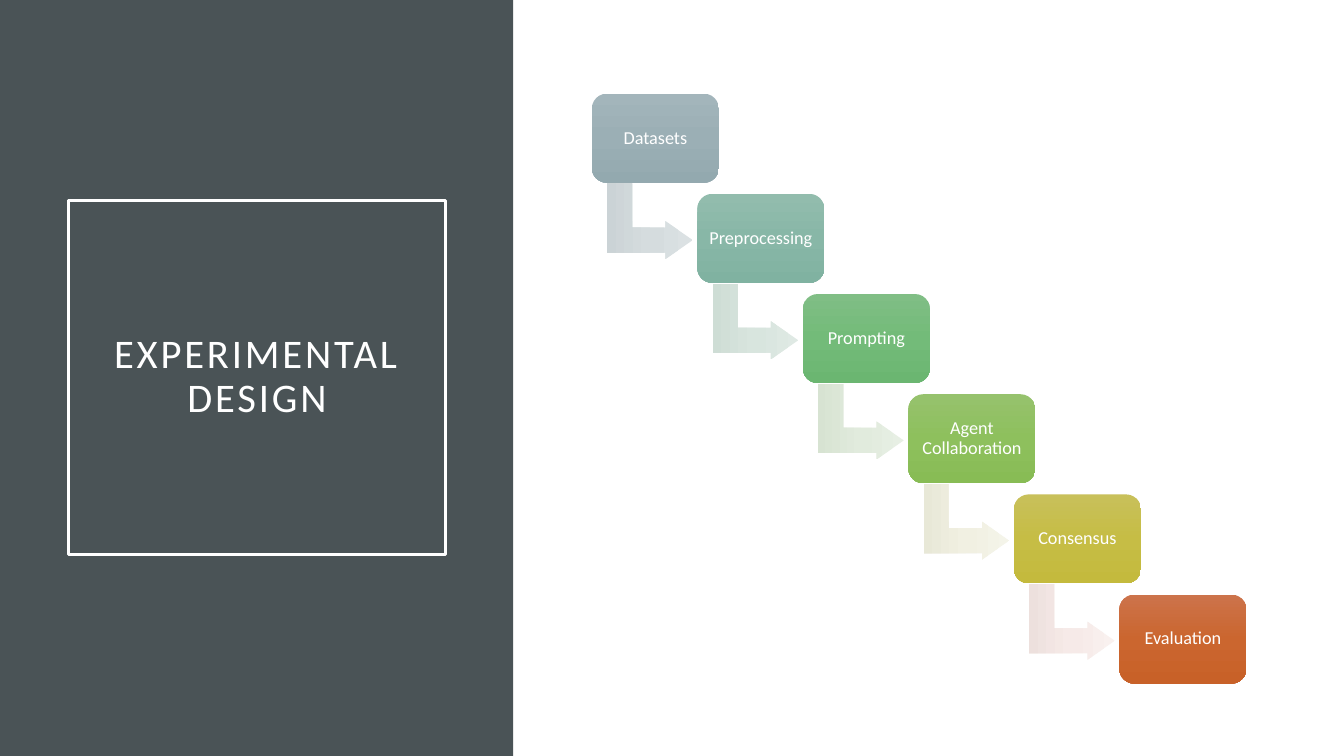
from copy import deepcopy

from pptx import Presentation
from pptx.dml.color import RGBColor
from pptx.enum.shapes import MSO_SHAPE
from pptx.enum.text import MSO_ANCHOR, MSO_AUTO_SIZE, PP_ALIGN
from pptx.oxml.ns import qn
from pptx.util import Inches, Pt

RECT = MSO_SHAPE.RECTANGLE
ROUND = MSO_SHAPE.ROUNDED_RECTANGLE
BENT = MSO_SHAPE.BENT_UP_ARROW
MIDDLE = MSO_ANCHOR.MIDDLE
CENTER = PP_ALIGN.CENTER
FIXED = MSO_AUTO_SIZE.NONE
TITLE_ONLY = 5

# Step name, box gradient, gradient of the arrow that leaves it
STEPS = [
    ("Datasets", "A3B5BB 9BAFB5 93A9AF", "DBE1E3 D5DCDE CBD3D6"),
    ("Preprocessing", "92BCAD 88B7A7 80B2A1", "DFE9E4 D8E5DE CEDDD5"),
    ("Prompting", "80BE85 73BB79 6BB671", "E7EFE4 E1EBDD D7E3D2"),
    ("Agent Collaboration", "96C26D 8EC05D 88BC55", "F4F4E9 F1F0E2 E8E8D7"),
    ("Consensus", "C8C05A C6BD45 C4BA3D", "F9F1EF F6EAE8 EDE0DD"),
    ("Evaluation", "CC734B CB662F C86128", None),
]

# Staircase, in percent of the slide's width and height
LEFT, TOP = 44.04, 12.4
COL, ROW = 7.85, 13.25


def color(code):
    return RGBColor.from_string(code)


class Deck:
    font = "Calibri"
    ink = "FFFFFF"
    dark = "4A5356"

    def __init__(self):
        self.prs = Presentation()
        self.prs.slide_width = Inches(13.33)
        self.prs.slide_height = Inches(7.5)
        layout = self.prs.slide_layouts[TITLE_ONLY]
        self.slide = self.prs.slides.add_slide(layout)

    def area(self, x, y, w, h):
        """Turn percentages of the slide into lengths."""
        wide, high = self.prs.slide_width, self.prs.slide_height
        return [round(part * full / 100) for part, full in
                zip((x, y, w, h), (wide, high, wide, high))]

    def shape(self, kind, *area):
        item = self.slide.shapes.add_shape(kind, *self.area(*area))
        item.shadow.inherit = False
        item.line.fill.background()
        return item

    def shade(self, item, codes):
        """Fill from top to bottom with three evenly spaced colours."""
        fill = item.fill
        fill.gradient()
        fill.gradient_angle = 270
        first = item.element.spPr.find(".//" + qn("a:gs"))
        first.addnext(deepcopy(first))
        for i, (stop, code) in enumerate(zip(fill.gradient_stops, codes.split())):
            stop.position = i / 2
            stop.color.rgb = color(code)

    def label(self, item, text, size, pad_x, pad_y):
        frame = item.text_frame
        frame.text = text
        frame.word_wrap = True
        frame.auto_size = FIXED
        frame.vertical_anchor = MIDDLE
        frame.margin_left = frame.margin_right = Inches(pad_x)
        frame.margin_top = frame.margin_bottom = Inches(pad_y)
        para = frame.paragraphs[0]
        para.alignment = CENTER
        para.line_spacing = 0.9
        run = para.runs[0]
        run.font.name = self.font
        run.font.size = Pt(size)
        run.font.color.rgb = color(self.ink)
        return run

    def title(self, text, *area):
        item = self.slide.shapes.title
        item.left, item.top, item.width, item.height = self.area(*area)
        item.line.color.rgb = color(self.ink)
        item.line.width = Pt(2.5)
        run = self.label(item, text, 29, 0.3, 0.2)
        run.font._element.set("spc", "200")

    def panel(self, *area):
        item = self.shape(RECT, *area)
        item.fill.solid()
        item.fill.fore_color.rgb = color(self.dark)
        self.slide.shapes.title.element.addprevious(item.element)

    def arrow(self, x, y, codes):
        item = self.shape(BENT, x, y, 5.63, 11.33)
        item.rotation = 90
        for i, ratio in enumerate((0.33, 0.25, 0.36)):
            item.adjustments[i] = ratio
        self.shade(item, codes)

    def box(self, x, y, text, codes):
        item = self.shape(ROUND, x, y, 9.45, 11.77)
        self.shade(item, codes)
        self.label(item, text, 13, 0.05, 0.05)


def main():
    deck = Deck()

    # Left panel with the framed title
    deck.panel(0, 0, 38.18, 100)
    deck.title("EXPERIMENTAL DESIGN", 5.1, 26.53, 28.06, 46.8)

    # Staircase of steps
    for i, (name, tones, pale) in enumerate(STEPS):
        x, y = LEFT + i * COL, TOP + i * ROW
        if pale:
            deck.arrow(x + 1.5, y + 11.2, pale)
        deck.box(x, y, name, tones)

    deck.prs.save("out.pptx")


if __name__ == "__main__":
    main()
